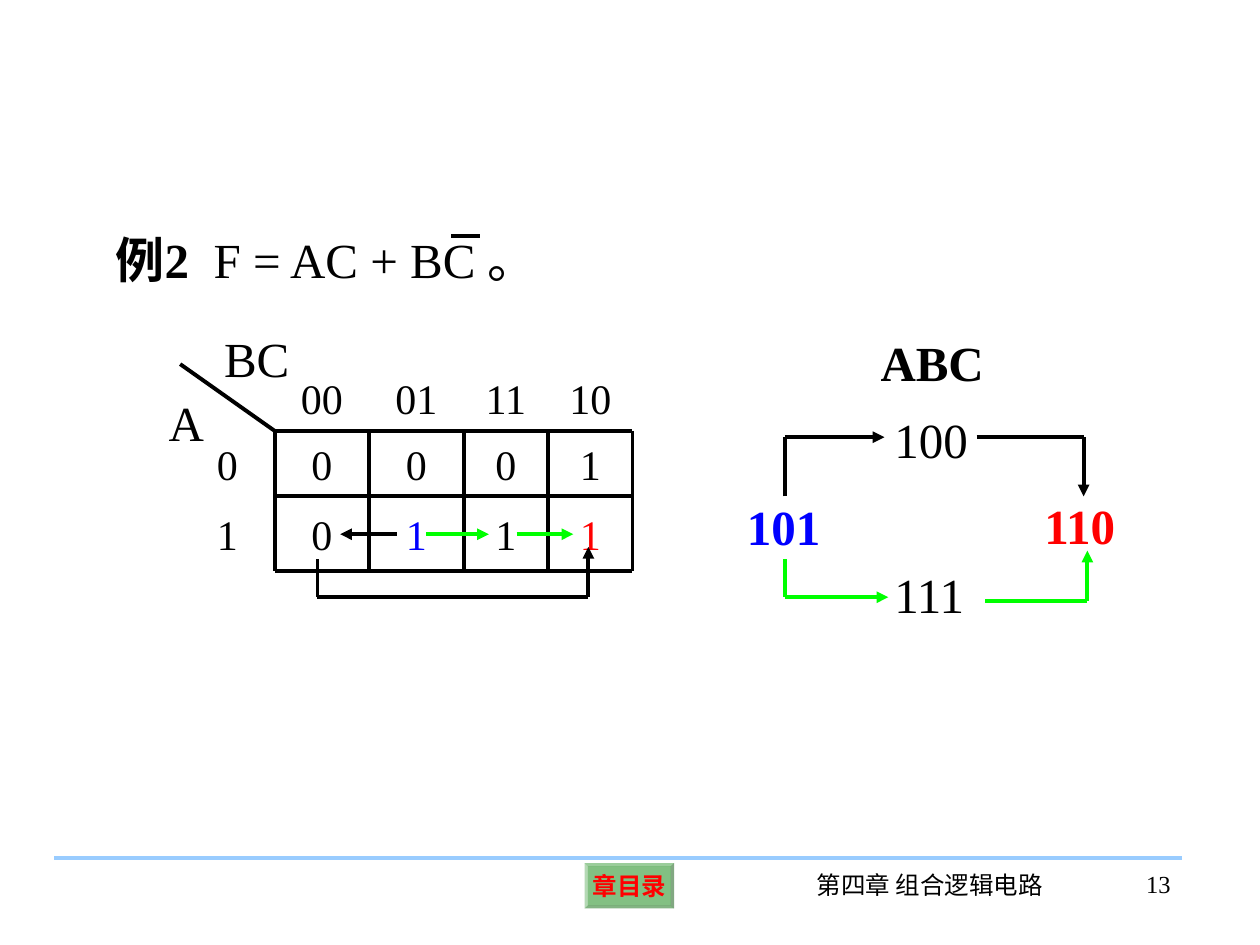
from itertools import accumulate
from lxml import etree
from pptx import Presentation
from pptx.dml.color import RGBColor
from pptx.enum import shapes, text
from pptx.oxml.ns import qn
from pptx.util import Inches, Pt

BLACK = RGBColor(0, 0, 0)
RED = RGBColor(255, 0, 0)
BLUE = RGBColor(0, 0, 255)
LIME = RGBColor(0, 255, 0)
GREEN = RGBColor(0, 128, 0)
SKY = RGBColor(153, 204, 255)
FONT = "Times New Roman"
LEFT, MID, RIGHT = (text.PP_ALIGN.LEFT, text.PP_ALIGN.CENTER,
                    text.PP_ALIGN.RIGHT)

# Karnaugh map: header row, then one row per value of A
MAP = [["", "00", "01", "11", "10"],
       ["0", "0", "0", "0", "1"],
       ["1", "0", "1", "1", "1"]]
TINTS = {(2, 2): BLUE, (2, 4): RED}
XS = list(accumulate([1.43, 0.75, 0.75, 0.75, 0.67, 0.67]))
YS = list(accumulate([2.89, 0.53, 0.52, 0.59]))

# Labels: runs of (text, bold), box, format
LABELS = [
    ([("例2  ", True), ("F = AC + BC 。", False)], (0.82, 1.77, 4.22, 0.57), {}),
    ([("A", False)], (1.24, 3.07, 0.45, 0.57), {}),
    ([("BC", False)], (1.68, 2.56, 0.75, 0.57), {}),
    ([("ABC", True)], (6.89, 2.59, 1.06, 0.57), {}),
    ([("100", False)], (7, 3.2, 0.89, 0.57), {}),
    ([("101", True)], (5.83, 3.89, 0.89, 0.57), {"color": BLUE}),
    ([("110", True)], (8.19, 3.88, 0.89, 0.57), {"color": RED}),
    ([("111", False)], (7, 4.43, 0.89, 0.57), {}),
    ([("第四章 组合逻辑电路", False)], (6.24, 6.86, 2.28, 0.5),
     {"size": 14, "align": MID}),
    ([("13", False)], (8.53, 6.85, 0.86, 0.5), {"size": 14, "align": RIGHT}),
]

# Routes: points, colour; the last leg carries the arrowhead
ROUTES = [
    ([(3.38, 4.24), (3.88, 4.24)], LIME),
    ([(4.1, 4.24), (4.55, 4.24)], LIME),
    ([(3.15, 4.24), (2.7, 4.24)], BLACK),
    ([(2.52, 4.44), (2.52, 4.74), (4.67, 4.74), (4.67, 4.34)], BLACK),
    ([(6.23, 3.94), (6.23, 3.47), (7.02, 3.47)], BLACK),
    ([(7.75, 3.47), (8.6, 3.47), (8.6, 3.94)], BLACK),
    ([(6.23, 4.44), (6.23, 4.74), (7.05, 4.74)], LIME),
    ([(7.82, 4.77), (8.63, 4.77), (8.63, 4.37)], LIME),
]

deck = Presentation()
deck.slide_width, deck.slide_height = Inches(10), Inches(7.5)
slide = deck.slides.add_slide(deck.slide_layouts[6])


def write(runs, box=None, shape=None, size=28, color=BLACK, align=LEFT,
          inset=(0.1, 0.05), anchor=text.MSO_ANCHOR.TOP, wrap=True):
    shape = shape or slide.shapes.add_textbox(*map(Inches, box))
    frame = shape.text_frame
    frame.word_wrap = wrap
    frame.vertical_anchor = anchor
    frame.margin_left = frame.margin_right = Inches(inset[0])
    frame.margin_top = frame.margin_bottom = Inches(inset[1])
    para = frame.paragraphs[0]
    para.alignment = align
    for words, bold in runs:
        run = para.add_run()
        run.text = words
        font = run.font
        font.name, font.size, font.bold = FONT, Pt(size), bold
        font.color.rgb = color


def line(start, end, color=BLACK, arrow=False):
    wire = slide.shapes.add_connector(
        shapes.MSO_CONNECTOR.STRAIGHT, *map(Inches, start + end))
    wire.line.color.rgb = color
    wire.line.width = Pt(2.25)
    if arrow:
        head = etree.SubElement(wire.line._get_or_add_ln(), qn("a:tailEnd"))
        head.set("type", "triangle")
    etree.SubElement(wire._element.spPr, qn("a:effectLst"))


# Footer rule and contents button
line((0.43, 6.81), (9.38, 6.81), SKY)
button = slide.shapes.add_shape(
    shapes.MSO_SHAPE.BEVEL, *map(Inches, (4.64, 6.85, 0.71, 0.36)))
button.adjustments[0] = 0.07
button.shadow.inherit = False
button.fill.solid()
button.fill.fore_color.rgb = GREEN
tint = button._element.spPr.find(qn("a:solidFill"))[0]
etree.SubElement(tint, qn("a:alpha")).set("val", "49000")
button.line.fill.background()
write([("章目录", True)], shape=button, size=14, color=RED, align=MID,
      inset=(0.04, 0.04), anchor=text.MSO_ANCHOR.MIDDLE, wrap=False)

# Labels and the bar over C
for runs, box, style in LABELS:
    write(runs, box, **style)
line((3.58, 1.87), (3.81, 1.87))

# Map cells
for r, row in enumerate(MAP):
    for c, value in enumerate(row):
        if value:
            box = (XS[c], YS[r], XS[c + 1] - XS[c], YS[r + 1] - YS[r])
            write([(value, False)], box, size=24, align=MID,
                  color=TINTS.get((r, c), BLACK), inset=(0.02, 0.02),
                  anchor=text.MSO_ANCHOR.MIDDLE)

# Map rules: corner slant, columns, rows
line((XS[0], YS[0]), (XS[1], YS[1]))
for x in XS[1:]:
    line((x, YS[1]), (x, YS[-1]))
for y in YS[1:]:
    line((XS[1], y), (XS[-1], y))

# Transition arrows
for points, color in ROUTES:
    for start, end in zip(points, points[1:]):
        line(start, end, color, arrow=end == points[-1])

deck.save("out.pptx")
